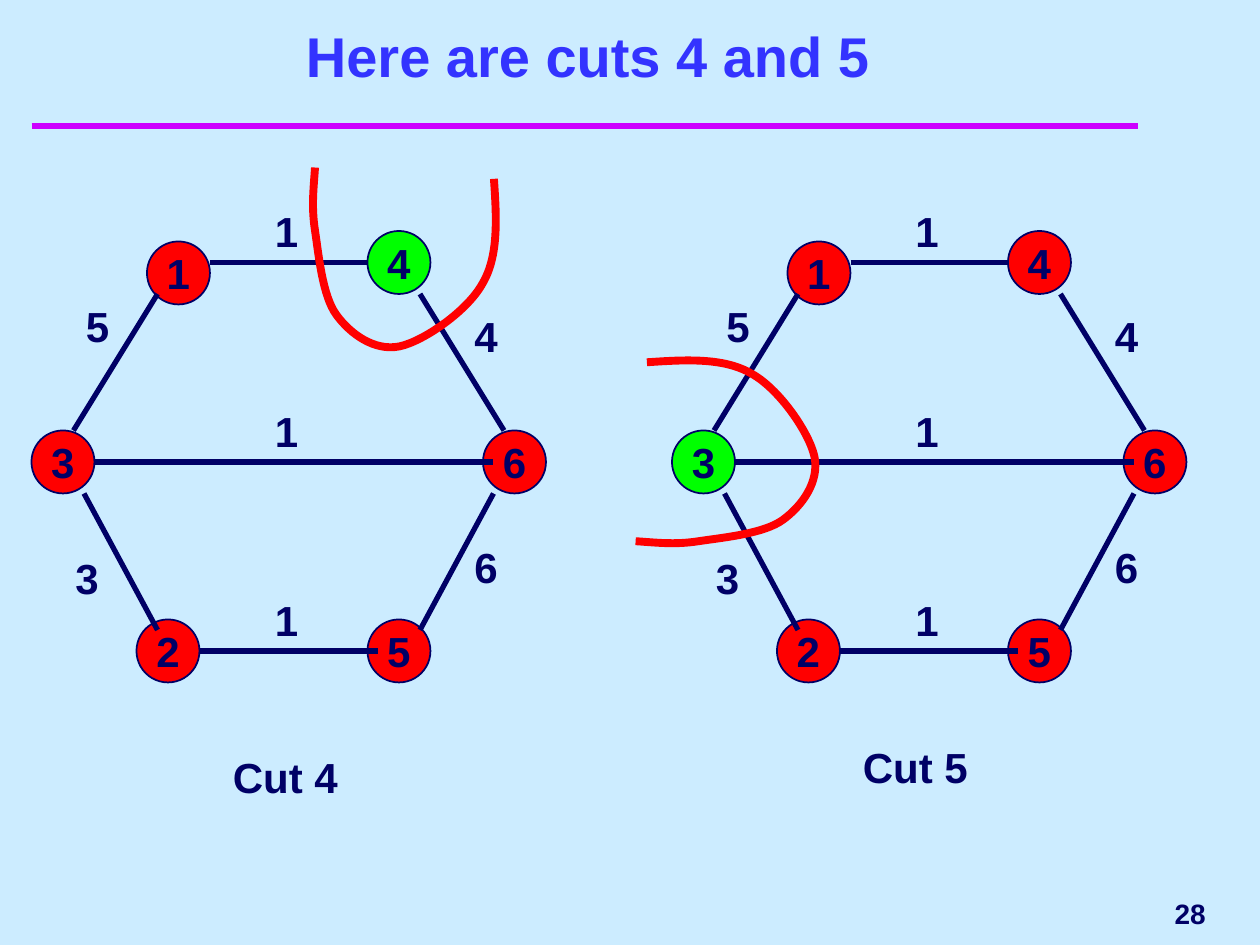
from dataclasses import dataclass

from lxml import etree
from pptx import Presentation
from pptx import util as u
from pptx.dml.color import RGBColor
from pptx.enum import shapes, text
from pptx.oxml import ns

COLS, ROWS = 120, 90
NAVY, RED, GREEN, BLUE, PINK, SKY = "000066", "FF0000", "00FF00", "3333FF", "CC00FF", "CCECFF"
NODES = {"1": (14, 23), "3": (3, 41), "2": (13, 59), "5": (35, 59), "6": (46, 41), "4": (35, 22)}
EDGES = [(20, 25, 35, 25), (15, 28, 7, 41), (8, 47, 15, 60), (19, 62, 36, 62),
         (40, 60, 47, 47), (48, 41, 40, 28), (9, 44, 47, 44)]
COSTS = [("1", 25, 19), ("1", 25, 38), ("1", 25, 56), ("5", 7, 28),
         ("3", 6, 52), ("4", 44, 29), ("6", 44, 51)]
CURVE = [(2.5, 1.33), (2.49, 1.49), (2.47, 1.64), (2.5, 1.83), (2.53, 2.03), (2.56, 2.35),
         (2.67, 2.5), (2.78, 2.65), (2.97, 2.79), (3.17, 2.75), (3.36, 2.71), (3.71, 2.47),
         (3.83, 2.25), (3.96, 2.03), (3.94, 1.72), (3.92, 1.42)]


@dataclass
class Cut:
    """One copy of the graph with the node it cuts off."""
    name: str
    node: str
    shift: int
    label: tuple[int, int]
    move: tuple[float, float]
    turn: int


CUTS = [Cut("Cut 5", "3", 61, (81, 70), (2.56, 1.52), 270),
        Cut("Cut 4", "4", 0, (21, 71), (0, 0), 0)]

deck = Presentation()
deck.slide_width, deck.slide_height = u.Inches(10), u.Inches(7.5)
slide = deck.slides.add_slide(deck.slide_layouts[6])


def hue(code: str) -> RGBColor:
    """Turn a hex string into a colour."""
    return RGBColor.from_string(code)


def grid(col: float, row: float) -> tuple[int, int]:
    """Turn a column and a row into slide lengths."""
    return round(deck.slide_width * col / COLS), round(deck.slide_height * row / ROWS)


def write(shape, words: str, size: int = 24, color: str = NAVY,
          align=text.PP_ALIGN.LEFT, anchor=text.MSO_ANCHOR.TOP, wrap: bool = True) -> None:
    """Set bold text in a shape."""
    frame = shape.text_frame
    frame.text = words
    frame.word_wrap, frame.vertical_anchor = wrap, anchor
    para = frame.paragraphs[0]
    para.alignment = align
    font = para.runs[0].font
    font.name, font.size, font.bold = "Arial", u.Pt(size), True
    font.color.rgb = hue(color)


def box(words: str, col: float, row: float, wide: float, high: float, **style) -> None:
    """Add a text box on the grid."""
    write(slide.shapes.add_textbox(*grid(col, row), *grid(wide, high)), words, **style)


def line(ends: tuple, color: str = NAVY, width: float = 3) -> None:
    """Add a straight line between two grid points."""
    link = slide.shapes.add_connector(shapes.MSO_CONNECTOR.STRAIGHT,
                                      *grid(*ends[:2]), *grid(*ends[2:]))
    link.line.color.rgb, link.line.width = hue(color), u.Pt(width)
    etree.SubElement(link._element.spPr, ns.qn("a:effectLst"))


def node(name: str, col: int, row: int, color: str) -> None:
    """Add a round node with its number."""
    disc = slide.shapes.add_shape(shapes.MSO_SHAPE.OVAL, *grid(col, row), *grid(6, 6))
    disc.shadow.inherit = False
    disc.fill.solid()
    disc.fill.fore_color.rgb = hue(color)
    disc.line.color.rgb, disc.line.width = hue(NAVY), u.Pt(1)
    write(disc, name, align=text.PP_ALIGN.CENTER, anchor=text.MSO_ANCHOR.MIDDLE, wrap=False)


def curve(cut: Cut) -> None:
    """Add the cut as a chain of Bezier curves."""
    dots = [(x + cut.move[0], y + cut.move[1]) for x, y in CURVE]
    pen = slide.shapes.build_freeform(*dots[0], scale=u.Inches(1) / 1.0)
    pen = slide.shapes.build_freeform(*(u.Inches(v) for v in dots[0]))
    pen.add_line_segments([(u.Inches(x), u.Inches(y)) for x, y in dots[1:]], close=False)
    arc = pen.convert_to_shape()
    arc.shadow.inherit = False
    arc.fill.background()
    arc.line.color.rgb, arc.line.width = hue(RED), u.Pt(4.5)
    arc.rotation = cut.turn
    path = next(arc._element.iter(ns.qn("a:path")))
    steps = path.findall(ns.qn("a:lnTo"))
    for i in range(0, len(steps), 3):
        bend = etree.SubElement(path, ns.qn("a:cubicBezTo"))
        for step in steps[i:i + 3]:
            bend.append(step[0])
            path.remove(step)


def graph(cut: Cut) -> None:
    """Add nodes, edges and costs of one graph."""
    for name, (col, row) in NODES.items():
        node(name, col + cut.shift, row, GREEN if name == cut.node else RED)
    for a, b, c, d in EDGES:
        line((a + cut.shift, b, c + cut.shift, d))
    for cost, col, row in COSTS:
        box(cost, col + cut.shift, row, 8, 6)


def main() -> None:
    """Build and save the slide."""
    back = slide.background.fill
    back.solid()
    back.fore_color.rgb = hue(SKY)
    line((3, 12, 108.36, 12), PINK, 4)
    box("Here are cuts 4 and 5", 5, 4, 102, 5, size=32, color=BLUE,
        align=text.PP_ALIGN.CENTER, anchor=text.MSO_ANCHOR.BOTTOM)
    for cut in CUTS:
        graph(cut)
    for cut in reversed(CUTS):
        box(cut.name, *cut.label, 18, 6)
        curve(cut)
    box("28", 93, 84, 23, 6, size=16, align=text.PP_ALIGN.RIGHT, anchor=text.MSO_ANCHOR.MIDDLE)
    deck.save("out.pptx")


if __name__ == "__main__":
    main()
